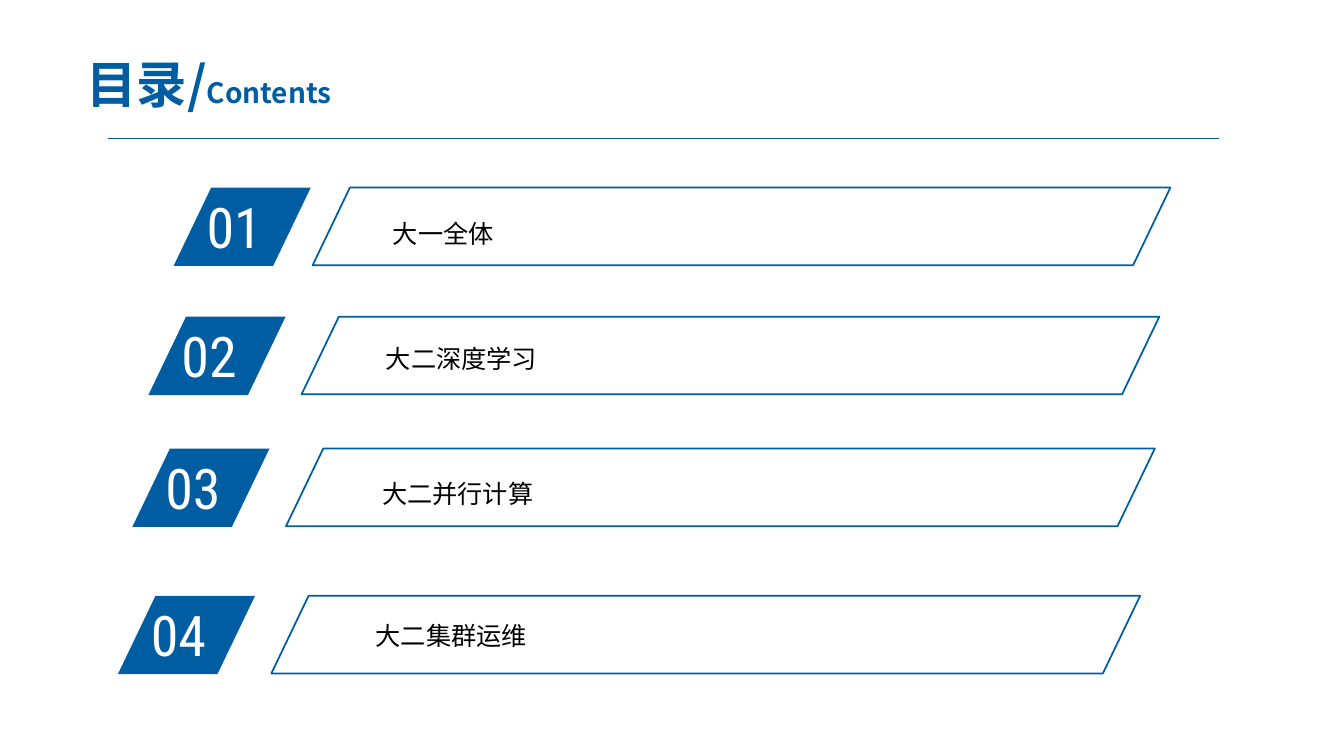
"""Build the contents slide with four slanted, numbered entries."""
from dataclasses import dataclass

from lxml.etree import SubElement
from pptx import Presentation
from pptx.dml.color import RGBColor as RGB
from pptx.enum.shapes import MSO_CONNECTOR as Connector, MSO_SHAPE as Shape
from pptx.enum.text import MSO_ANCHOR as Anchor, MSO_AUTO_SIZE as AutoSize, PP_ALIGN as Align
from pptx.oxml.ns import qn
from pptx.util import Pt


@dataclass(frozen=True)
class Theme:
    blue: RGB = RGB(0x00, 0x5D, 0xA2)
    rule: RGB = RGB(0x00, 0x5B, 0x9E)
    white: RGB = RGB(0xFF, 0xFF, 0xFF)
    black: RGB = RGB(0x00, 0x00, 0x00)
    chinese_font: str = "Noto Sans CJK SC"
    number_font: str = "Roboto Condensed"
    entry_font: str = "Calibri"
    title_size: int = 36
    subtitle_size: int = 20
    number_size: int = 40
    entry_size: int = 18


class ContentsSlide:
    def __init__(self, slide, theme):
        self.slide = slide
        self.theme = theme

    def style(self, paragraph, font_name, color, size=None, bold=False):
        font = paragraph.font
        font.name, font.bold = font_name, bold
        font.color.rgb = color
        if size:
            font.size = Pt(size)
        properties = paragraph._p.pPr.find(qn("a:defRPr"))
        SubElement(properties, qn("a:ea"), typeface=self.theme.chinese_font)

    def title(self, left, top, width, height, parts):
        heading = self.slide.shapes.title
        heading.left, heading.top = Pt(left), Pt(top)
        heading.width, heading.height = Pt(width), Pt(height)
        frame = heading.text_frame
        frame.auto_size = AutoSize.NONE
        frame.vertical_anchor = Anchor.MIDDLE
        paragraph = frame.paragraphs[0]
        paragraph.alignment = Align.CENTER
        for wording, size in parts:
            run = paragraph.add_run()
            run.text = wording
            run.font.size = Pt(size)
        self.style(paragraph, self.theme.chinese_font, self.theme.blue, bold=True)

    def rule(self, left, right, y):
        line = self.slide.shapes.add_connector(
            Connector.STRAIGHT, Pt(left), Pt(y), Pt(right), Pt(y))
        line.line.color.rgb = self.theme.rule
        line.line.width = Pt(0.75)
        SubElement(line._element.spPr, qn("a:effectLst"))

    def slanted_box(self, left, top, width, height, filled):
        box = self.slide.shapes.add_shape(
            Shape.PARALLELOGRAM, Pt(left), Pt(top), Pt(width), Pt(height))
        box.adjustments[0] = 0.48
        box.shadow.inherit = False
        if filled:
            box.fill.solid()
            box.fill.fore_color.rgb = self.theme.blue
            box.line.fill.background()
        else:
            box.fill.background()
            box.line.color.rgb = self.theme.blue
            box.line.width = Pt(1.25)

    def text(self, left, top, width, height, wording, font_name, color, size):
        frame = self.slide.shapes.add_textbox(
            Pt(left), Pt(top), Pt(width), Pt(height)).text_frame
        frame.word_wrap = True
        frame.auto_size = AutoSize.SHAPE_TO_FIT_TEXT
        frame.text = wording
        self.style(frame.paragraphs[0], font_name, color, size)

    def entry(self, number, wording, top, badge_left, bar_left, bar_width, text_left, text_top):
        theme = self.theme
        self.slanted_box(badge_left, top, 98, 56, filled=True)
        self.text(badge_left + 16.5, top, 93, 55.5, f"{number:02}",
                  theme.number_font, theme.white, theme.number_size)
        self.slanted_box(bar_left, top, bar_width, 55.5, filled=False)
        self.text(text_left, text_top, 320, 29, wording,
                  theme.entry_font, theme.black, theme.entry_size)


ENTRIES = [
    ("大一全体", 134, 124, 223.3, 612.7, 273.6, 152.6),
    ("大二深度学习", 226.2, 106, 215.4, 612.7, 268.6, 241.4),
    ("大二并行计算", 320.4, 94.5, 204.3, 620.6, 265.9, 338),
    ("大二集群运维", 425.6, 84.2, 193.8, 620.6, 261.2, 439.4),
]


def main():
    presentation = Presentation()
    presentation.slide_width, presentation.slide_height = Pt(960), Pt(540)
    theme = Theme()
    contents = ContentsSlide(
        presentation.slides.add_slide(presentation.slide_layouts[5]), theme)
    contents.title(29, 40.3, 240.5, 39,
                   [("目录/", theme.title_size), ("Contents", theme.subtitle_size)])
    contents.rule(77, 871, 98.8)
    for number, details in enumerate(ENTRIES, start=1):
        contents.entry(number, *details)
    presentation.save("out.pptx")


if __name__ == "__main__":
    main()
